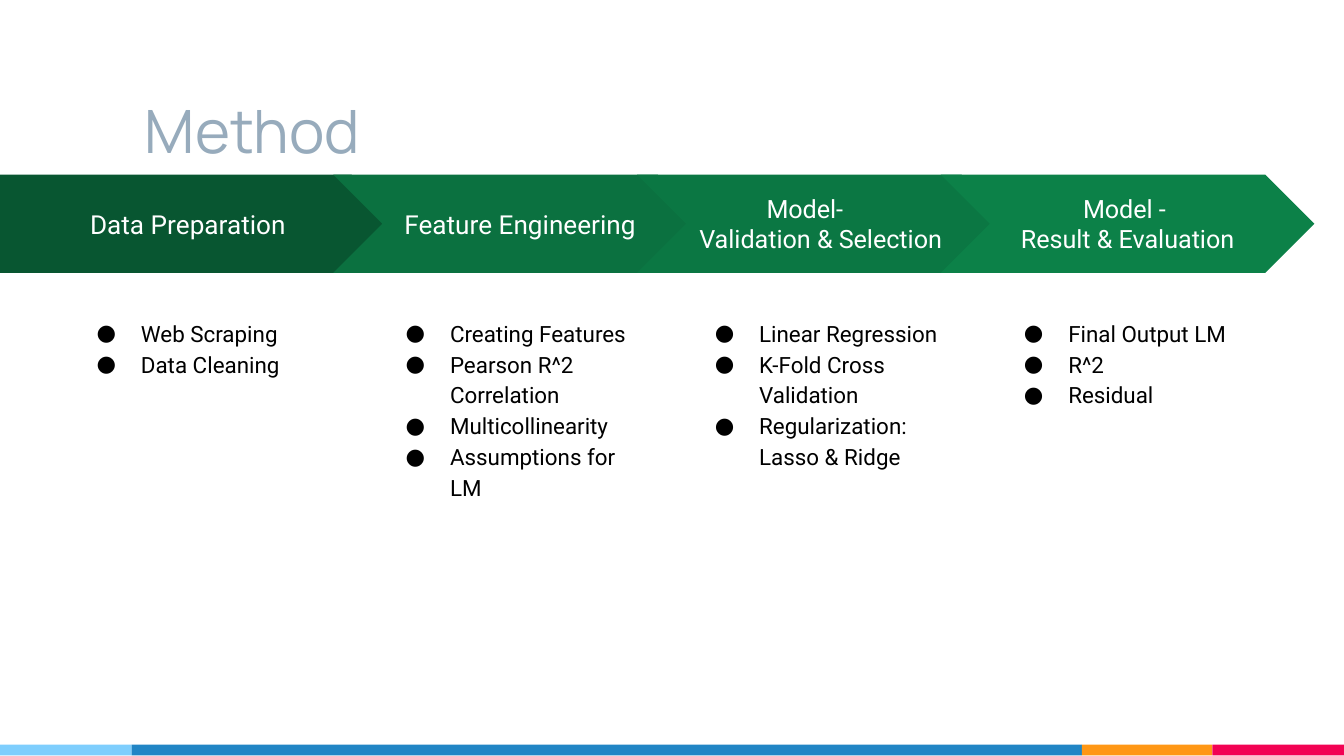
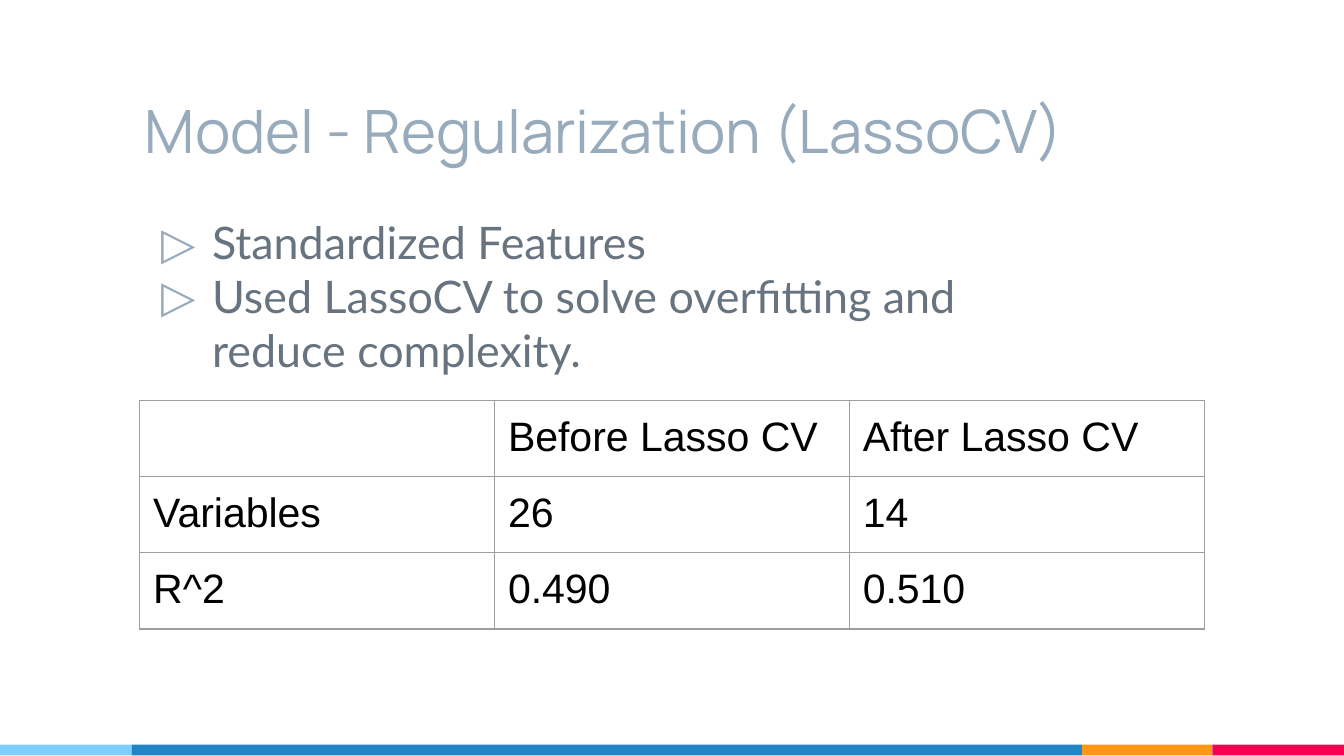
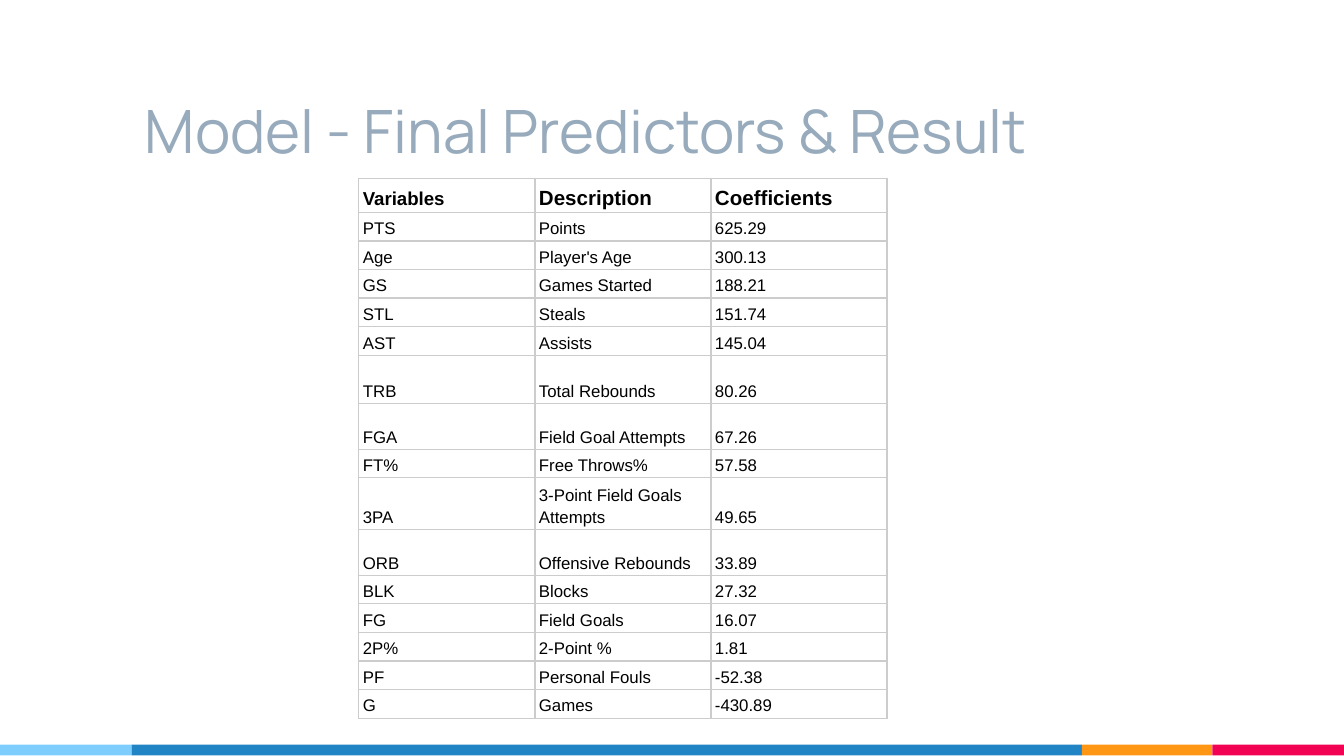
from pptx import Presentation
from pptx.dml.color import RGBColor
from pptx.enum.shapes import MSO_SHAPE as Shape
from pptx.enum.text import MSO_ANCHOR as Anchor, PP_ALIGN as Align
from pptx.oxml.ns import qn
from pptx.util import Inches, Pt
from lxml.etree import SubElement

WHITE, BLACK = "FFFFFF", "000000"
TITLE_COLOR, BODY_COLOR = "97ABBC", "677480"
FOOTER_BANDS = [(0.98, "7ECEFD"), (7.07, "2185C5"), (0.97, "FF9715"), (0.98, "F20253")]
TITLE_BOX = (0.98, 0.39, 7.07, 0.94)
GRID_FRAME = 3.28

STAGES = [
    (["Data Preparation"], "085631", 14,
     ["Web Scraping ", "Data Cleaning"]),
    (["Feature Engineering"], "0B7140", 14,
     ["Creating Features", "Pearson R^2 Correlation", "Multicollinearity ",
      "Assumptions for LM"]),
    (["Model-", "Validation & Selection"], "0B7743", 13.5,
     ["Linear Regression", "K-Fold Cross Validation",
      "Regularization: Lasso & Ridge"]),
    (["Model - ", "Result & Evaluation"], "0C8148", 13.5,
     ["Final Output LM", "R^2", "Residual "]),
]
LASSO_POINTS = ["Standardized Features",
                "Used LassoCV to solve overfitting and reduce complexity."]
LASSO_ROWS = [
    ("", "Before Lasso CV", "After Lasso CV"),
    ("Variables", "26", "14"),
    ("R^2", "0.490", "0.510"),
]
PREDICTOR_ROWS = [
    ("Variables", "Description", "Coefficients"),
    ("PTS", "Points", "625.29"),
    ("Age", "Player's Age", "300.13"),
    ("GS", "Games Started", "188.21"),
    ("STL", "Steals", "151.74"),
    ("AST", "Assists", "145.04"),
    ("TRB", "Total Rebounds", "80.26"),
    ("FGA", "Field Goal Attempts", "67.26"),
    ("FT%", "Free Throws%", "57.58"),
    ("3PA", "3-Point Field Goals Attempts", "49.65"),
    ("ORB", "Offensive Rebounds", "33.89"),
    ("BLK", "Blocks", "27.32"),
    ("FG", "Field Goals", "16.07"),
    ("2P%", "2-Point %", "1.81"),
    ("PF", "Personal Fouls", "-52.38"),
    ("G", "Games", "-430.89"),
]
TALL_ROWS = {"Variables": 0.23, "TRB": 0.36, "FGA": 0.34, "3PA": 0.38, "ORB": 0.34}


def rgb(color):
    """Turn a hex string into a colour."""
    return RGBColor.from_string(color)


def inches(box):
    """Turn left, top, width and height into lengths."""
    return [Inches(value) for value in box]


def write(frame, lines, font, size, color, align=Align.LEFT, spacing=None, bold=False):
    """Fill a text frame with one formatted paragraph per line."""
    frame.text = "\n".join(lines)
    for paragraph in frame.paragraphs:
        paragraph.alignment = align
        if spacing:
            paragraph.line_spacing = spacing
        for run in paragraph.runs:
            run.font.name, run.font.size, run.font.bold = font, Pt(size), bold
            run.font.color.rgb = rgb(color)


def set_margins(holder, across, down):
    """Set the inner margins of a text frame or a cell."""
    holder.margin_left = holder.margin_right = Inches(across)
    holder.margin_top = holder.margin_bottom = Inches(down)


def add_text(slide, box, lines, anchor=Anchor.TOP, **style):
    """Add a wrapping text box and return its frame."""
    frame = slide.shapes.add_textbox(*inches(box)).text_frame
    frame.word_wrap = True
    frame.vertical_anchor = anchor
    set_margins(frame, 0.1, 0.1)
    write(frame, lines, **style)
    return frame


def add_bullets(frame, mark, font, color, hang):
    """Give every paragraph a hanging bullet."""
    for paragraph in frame.paragraphs:
        properties = paragraph._p.get_or_add_pPr()
        properties.set("marL", str(Inches(0.5)))
        properties.set("indent", str(-Inches(hang)))
        SubElement(SubElement(properties, qn("a:buClr")), qn("a:srgbClr"), val=color)
        SubElement(properties, qn("a:buFont"), typeface=font)
        SubElement(properties, qn("a:buChar"), char=mark)


def add_block(slide, kind, box, color):
    """Add a flat shape without outline or shadow."""
    block = slide.shapes.add_shape(kind, *inches(box))
    block.shadow.inherit = False
    block.fill.solid()
    block.fill.fore_color.rgb = rgb(color)
    block.line.fill.background()
    return block


def add_base(deck, title):
    """Start a slide with the footer bands and the title."""
    slide = deck.slides.add_slide(deck.slide_layouts[6])
    left = 0
    for width, color in FOOTER_BANDS:
        add_block(slide, Shape.RECTANGLE, (left, 5.54, width, 0.08), color)
        left += width
    add_text(slide, TITLE_BOX, [title], Anchor.BOTTOM,
             font="Manrope", size=32, color=TITLE_COLOR)
    return slide


def add_borders(cell, color):
    """Draw a thin line on each side of a cell."""
    properties = cell._tc.get_or_add_tcPr()
    for side in ("a:lnL", "a:lnR", "a:lnT", "a:lnB"):
        line = SubElement(properties, qn(side), w=str(Pt(0.75)))
        SubElement(SubElement(line, qn("a:solidFill")), qn("a:srgbClr"), val=color)


def add_grid(slide, box, rows, heights, border, margins, anchor, style, fill=None):
    """Add a plain bordered table; style gives the text format of a cell."""
    holder = slide.shapes.add_table(len(rows), len(rows[0]), *inches(box))
    grid = holder.table
    grid.first_row = grid.horz_banding = False
    for column in grid.columns:
        column.width = Inches(box[2] / len(rows[0]))
    for r, (values, height) in enumerate(zip(rows, heights)):
        grid.rows[r].height = Inches(height)
        for c, value in enumerate(values):
            cell = grid.cell(r, c)
            set_margins(cell, *margins)
            cell.vertical_anchor = anchor
            add_borders(cell, border)
            if fill and c:
                cell.fill.solid()
                cell.fill.fore_color.rgb = rgb(fill)
            else:
                cell.fill.background()
            write(cell.text_frame, [value], font="Arial", color=BLACK, **style(r, c))
    holder.width = holder.height = Inches(GRID_FRAME)


def add_arrow(slide, box, kind, label, color, size):
    """Add one labelled arrow of the process band."""
    arrow = add_block(slide, kind, box, color)
    frame = arrow.text_frame
    frame.word_wrap = True
    frame.vertical_anchor = Anchor.MIDDLE
    set_margins(frame, 0.1, 0.1)
    write(frame, label, "Roboto", size, WHITE, Align.CENTER)
    return frame


def add_process(slide, box):
    """Place the arrows and the list under each of them."""
    left, top, width, height = box
    for i, (label, color, size, steps) in enumerate(STAGES):
        if i == 0:
            place, kind = (left, top, 2.98, height), Shape.PENTAGON
        else:
            place = (left + 0.22 + 2.26 * i, top, width - 7, height)
            kind = Shape.CHEVRON
        frame = add_arrow(slide, place, kind, label, color, size)
        if label[0] == "Model-":
            for paragraph in frame.paragraphs:
                paragraph.alignment = Align.LEFT
            frame.paragraphs[0]._p.get_or_add_pPr().set("indent", str(Inches(0.5)))
        points = add_text(slide, (left + 0.45 + 2.3 * i, top + 0.95, 2.08, 2.86), steps,
                          font="Roboto", size=12, color=BLACK, spacing=1.15)
        add_bullets(points, "●", "Roboto", BLACK, 0.33)


def method_slide(deck):
    """Show the four stages of the method."""
    add_process(add_base(deck, "Method"), (0, 1.3, 9.78, 0.73))


def lasso_slide(deck):
    """Show the regularization points and their effect."""
    slide = add_base(deck, "Model - Regularization (LassoCV)")
    points = add_text(slide, (0.98, 1.5, 7.07, 3.88), LASSO_POINTS,
                      font="Lato", size=24, color=BODY_COLOR)
    points.paragraphs[0].space_before = Pt(6)
    add_bullets(points, "▷", "Lato", TITLE_COLOR, 0.38)
    add_grid(slide, (1.04, 2.98, 7.92, 1.26), LASSO_ROWS, [0.42] * 3, "9E9E9E",
             (0.1, 0.1), Anchor.TOP, lambda r, c: {"size": 22})


def predictor_style(r, c):
    """Give the text format of a cell of the predictor table."""
    size = 9 if r else 11 if c else 10
    return {"size": size, "bold": r == 0, "spacing": 1.15}


def predictors_slide(deck):
    """List the final predictors with their coefficients."""
    slide = add_base(deck, "Model - Final Predictors & Result")
    heights = [TALL_ROWS.get(row[0], 0.21) for row in PREDICTOR_ROWS]
    add_grid(slide, (2.67, 1.33, 3.93, sum(heights)), PREDICTOR_ROWS, heights, "CCCCCC",
             (0.03, 0.02), Anchor.BOTTOM, predictor_style, WHITE)


def main():
    """Build and save the deck."""
    deck = Presentation()
    deck.slide_width, deck.slide_height = Inches(10), Inches(10 * 9 / 16)
    method_slide(deck)
    lasso_slide(deck)
    predictors_slide(deck)
    deck.save("out.pptx")


main()
